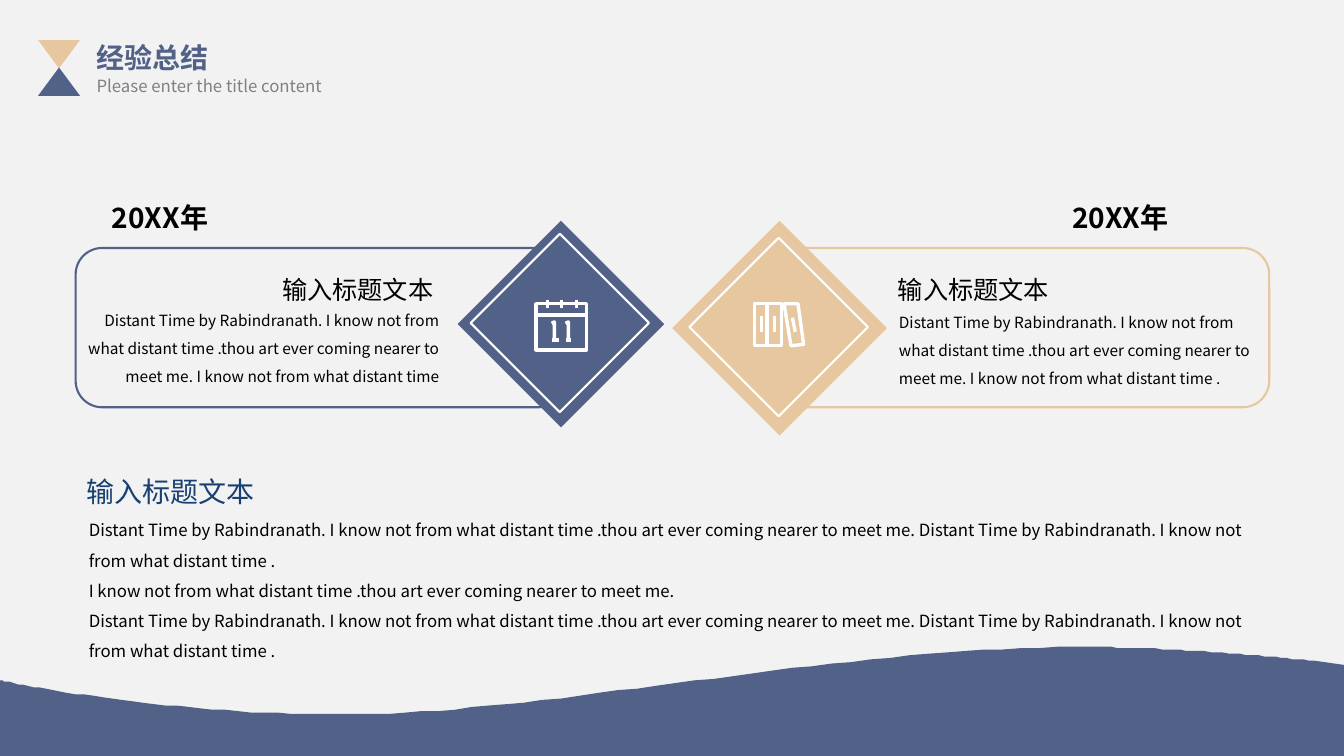
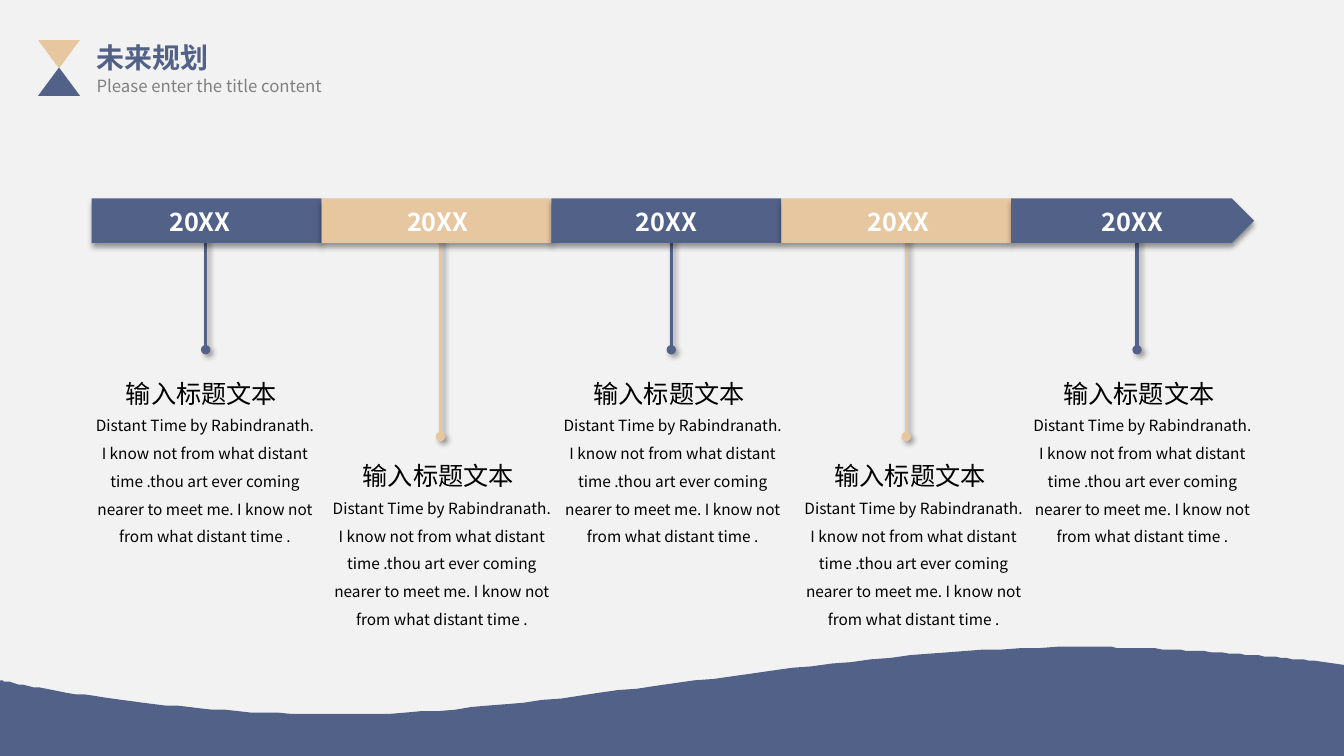
from lxml.etree import SubElement
from pptx import Presentation
from pptx.dml.color import RGBColor
from pptx.enum.shapes import MSO_CONNECTOR, MSO_SHAPE
from pptx.enum.text import MSO_ANCHOR, MSO_AUTO_SIZE, PP_ALIGN
from pptx.oxml.ns import qn
from pptx.util import Pt

WIDE, HIGH = 960, 540
FONT, YEARFONT = "Noto Sans CJK SC", "Noto Sans CJK JP"
COLORS = {"back": "F2F2F2", "blue": "526188", "tan": "E7C7A0", "gray": "808080",
          "navy": "184172", "black": "000000", "white": "FFFFFF"}

TITLES = ["经验总结", "未来规划"]
SUBTITLE = "Please enter the title content"
HEAD = "输入标题文本"
POEM = "Distant Time by Rabindranath. I know not from what distant time"
COMING = "thou art ever coming nearer to meet me."
SHORT = f"{POEM} .{COMING} I know not from what distant time"
LONG = f"{POEM} .{COMING} {POEM} ."
NOTES = [LONG, f"I know not from what distant time .{COMING}", LONG]

# A curve is three points after the current one; a lone pair is a corner.
WAVE = [(766.8, 462.2),
        [(604.8, 462.2), (380.2, 510.5), (247, 510.5)],
        [(113, 510.5), (0, 486), (0, 486)],
        (0, HIGH), (WIDE, HIGH), (WIDE, 475.2), (938.9, 472.3),
        [(887, 466.6), (827.3, 462.2), (766.8, 462.2)]]


def box(left, top, right, low):
    return [(left, top), (right, top), (right, low), (left, low), (left, top)]


CALENDAR = [box(383, 216.7, 419, 249.8), [(383, 224.6), (419, 224.6)]]
CALENDAR += [[(x, 213.5), (x, 220.5)] for x in (390.6, 401.2, 411.8)]
for x in (394.2, 404):
    CALENDAR += [[(x, 231.2), (x + 2.2, 230.2), (x + 2.2, 243.4)],
                 [(x, 243.4), (x + 4.4, 243.4)]]
BOOKS = [box(538.6, 216.7, 558, 247), [(548.3, 216.7), (548.3, 247)],
         [(560.2, 217.4), (569.5, 216.7), (574.2, 246.2), (565.2, 247), (560.2, 217.4)],
         [(566.3, 226.8), (568.1, 236.9)]]
BOOKS += [[(x, 226), (x, 237.2)] for x in (543.6, 553.2)]

# Sides: color, frame left, year left, outer and inner diamond (left, top, size),
# icon, heading left, text (left, top, words, alignment)
SIDES = [
    ("tan", 556.6, 758.9, (480.2, 157.7, 153.4), (492.5, 169.9, 127.4), BOOKS,
     634.3, (635, 213.8, SHORT + " .", PP_ALIGN.LEFT)),
    ("blue", 54, 72.7, (326.9, 157.7, 147.6), (336.2, 167, 127.4), CALENDAR,
     194.4, (54, 212.4, SHORT, PP_ALIGN.RIGHT)),
]
# Steps: pin x, year left, heading left
STEPS = [(146.9, 113.8, 82.8), (314.6, 283.7, 252), (479.5, 447.1, 416.9),
         (647.3, 612.7, 589), (812.2, 779.8, 752.4)]
BAR, BARTOP, BARWIDE, BARHIGH = 65.5, 141.8, 164.2, 31.7


def rgb(name):
    return RGBColor.from_string(COLORS[name])


def style(shape, fill=None, line=None, weight=1.5):
    shape.shadow.inherit = False
    if fill:
        shape.fill.solid()
        shape.fill.fore_color.rgb = rgb(fill)
    else:
        shape.fill.background()
    if line:
        shape.line.color.rgb = rgb(line)
        shape.line.width = Pt(weight)
    else:
        shape.line.fill.background()
    return shape


def place(shape, left, top, width, height):
    shape.left, shape.top = Pt(left), Pt(top)
    shape.width, shape.height = Pt(width), Pt(height)
    return shape


def draw(slide, kind, left, top, width, height, **look):
    shape = slide.shapes.add_shape(kind, Pt(left), Pt(top), Pt(width), Pt(height))
    return style(shape, **look)


def write(shape, lines, size, color="black", bold=False, align=PP_ALIGN.LEFT,
          spacing=1, face=FONT):
    frame = shape.text_frame
    frame.word_wrap = True
    frame.auto_size = MSO_AUTO_SIZE.NONE
    frame.vertical_anchor = MSO_ANCHOR.TOP
    frame.text = "\n".join(lines)
    for para in frame.paragraphs:
        para.alignment, para.line_spacing = align, spacing
        para.space_before = Pt(0)
        font = para.font
        font.name, font.size, font.bold = face, Pt(size), bold
        font.color.rgb = rgb(color)
        props = para._p.get_or_add_pPr()
        SubElement(props.find(qn("a:defRPr")), qn("a:ea"), typeface=face)


def label(slide, left, top, width, height, words, size, **look):
    area = slide.shapes.add_textbox(Pt(left), Pt(top), Pt(width), Pt(height))
    write(area, [words], size, **look)


def shade(props, angle):
    """Give shape properties a soft outer shadow cast at an angle in degrees."""
    effects = props.find(qn("a:effectLst"))
    if effects is None:
        effects = SubElement(props, qn("a:effectLst"))
    outer = SubElement(effects, qn("a:outerShdw"), blurRad=str(Pt(4)), dist=str(Pt(3)),
                       dir=str(angle * 60000), algn="t", rotWithShape="0")
    tone = SubElement(outer, qn("a:srgbClr"), val=COLORS["black"])
    SubElement(tone, qn("a:alpha"), val="40000")


def curve(start, bends, count=40):
    """Sample a cubic Bezier curve, leaving out its start."""
    points = []
    for step in range(1, count + 1):
        t = step / count
        parts = ((1 - t) ** 3, 3 * t * (1 - t) ** 2, 3 * t * t * (1 - t), t ** 3)
        points.append(tuple(sum(w * p[axis] for w, p in zip(parts, (start, *bends)))
                            for axis in (0, 1)))
    return points


def outline(slide, paths, close, **look):
    """Draw point lists as one freeform."""
    pen = slide.shapes.build_freeform(*paths[0][0], scale=Pt(1))
    for index, points in enumerate(paths):
        if index:
            pen.move_to(*points[0])
        pen.add_line_segments(points[1:], close=close)
    return style(pen.convert_to_shape(), **look)


def start(deck, layout, title):
    """Add a slide with the wave, the hourglass and the heading."""
    slide = deck.slides.add_slide(deck.slide_layouts[layout])
    points = [WAVE[0]]
    for part in WAVE[1:]:
        points += curve(points[-1], part) if isinstance(part, list) else [part]
    outline(slide, [points], True, fill="blue")
    for top, turn, color in ((48.2, 0, "blue"), (28.6, 180, "tan")):
        part = draw(slide, MSO_SHAPE.ISOSCELES_TRIANGLE, 27.2, top, 29.9, 20.2, fill=color)
        part.rotation = turn
    place(slide.shapes.title, 61.9, 25.2, 128.9, 31.7)
    write(slide.shapes.title, [title], 20, color="blue", bold=True)
    label(slide, 61.9, 50.4, 190, 21.6, SUBTITLE, 12, color="gray")
    return slide


def review(deck):
    slide = start(deck, 1, TITLES[0])
    for color, frame, *_ in SIDES:
        draw(slide, MSO_SHAPE.ROUNDED_RECTANGLE, frame, 177.1, 350, 113.8, line=color)
    for color, _, year, outer, inner, icon, head, (left, top, words, align) in SIDES:
        label(slide, year, 139.7, 128.9, 31.7, "20XX年", 20, bold=True)
        for (x, y, size), look in ((outer, {"fill": color}), (inner, {"line": "white"})):
            draw(slide, MSO_SHAPE.DIAMOND, x, y, size, size, **look)
        outline(slide, icon, False, line="white", weight=2.4)
        label(slide, head, 192.2, 128.2, 28.8, HEAD, 18)
        label(slide, left, top, 267.1, 64.8, words, 11, align=align, spacing=1.5)
    label(slide, 54.7, 335.5, 148.3, 31.7, HEAD, 20, color="navy")
    body = place(slide.placeholders[1], 56.2, 360.7, 847.4, 116.6)
    write(body, NOTES, 12, spacing=1.5)
    for para in body.text_frame.paragraphs:
        props = para._p.get_or_add_pPr()
        props.set("marL", "0")
        props.set("indent", "0")
        props.find(qn("a:defRPr")).addprevious(SubElement(props, qn("a:buNone")))


def plan(deck):
    slide = start(deck, 5, TITLES[1])
    tones = [("blue", "tan")[index % 2] for index in range(len(STEPS))]
    for index, (pin, _, _) in enumerate(STEPS):
        low = 311.8 if index % 2 else 249.8
        stem = slide.shapes.add_connector(MSO_CONNECTOR.STRAIGHT, Pt(pin), Pt(159.8),
                                          Pt(pin), Pt(low))
        stem.line.color.rgb = rgb(tones[index])
        stem.line.width = Pt(2.25)
        SubElement(stem.line._get_or_add_ln(), qn("a:tailEnd"), type="oval")
        shade(stem._element.spPr, 45)
    for index, (_, year, head) in enumerate(STEPS):
        last = index == len(STEPS) - 1
        kind = MSO_SHAPE.PENTAGON if last else MSO_SHAPE.RECTANGLE
        bar = draw(slide, kind, BAR + index * BARWIDE, BARTOP,
                   173.5 if last else BARWIDE, BARHIGH, fill=tones[index])
        shade(bar._element.spPr, 90)
        label(slide, year, 144, 63.4, 28.8, "20XX", 18, color="white", bold=True,
              face=YEARFONT)
        top = 325.4 if index % 2 else 266.4
        label(slide, head, top, 128.2, 28.8, HEAD, 18)
        label(slide, head - 22.4, top + 20.9, 172.1, 104.4, SHORT + " .", 11,
              align=PP_ALIGN.CENTER, spacing=1.5)


def main():
    deck = Presentation()
    deck.slide_width, deck.slide_height = Pt(WIDE), Pt(HIGH)
    back = deck.slide_master.background.fill
    back.solid()
    back.fore_color.rgb = rgb("back")
    review(deck)
    plan(deck)
    deck.save("out.pptx")


if __name__ == "__main__":
    main()
